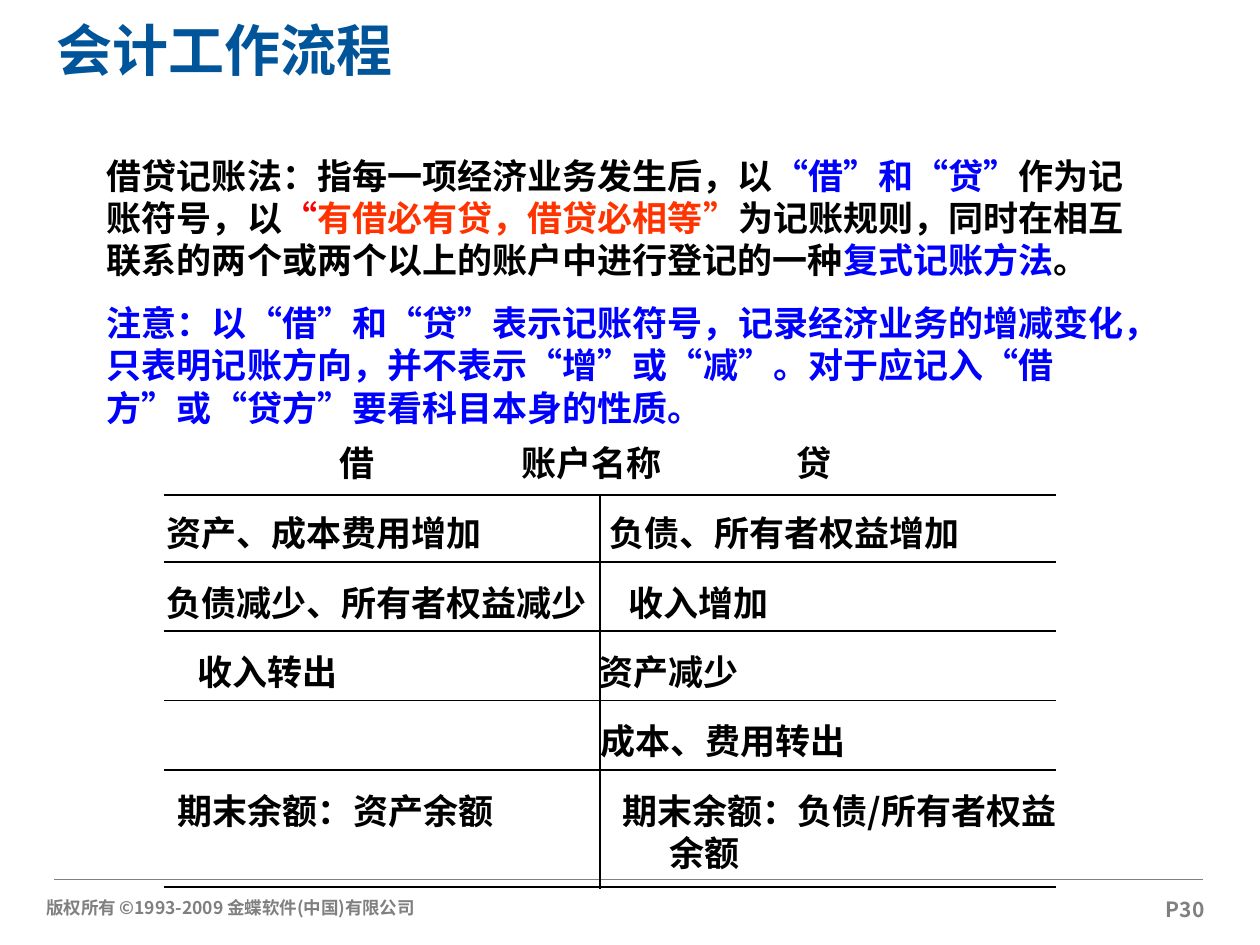
from itertools import groupby

from lxml import etree
from pptx import Presentation
from pptx.dml.color import RGBColor
from pptx.enum import shapes, text
from pptx.oxml import ns
from pptx.util import Pt

BLACK = RGBColor(0x00, 0x00, 0x00)
BLUE = RGBColor(0x00, 0x00, 0xFF)
RED = RGBColor(0xFF, 0x00, 0x00)
ORANGE = RGBColor(0xFF, 0x33, 0x00)
TITLE_BLUE = RGBColor(0x00, 0x54, 0x9A)
GRAY = RGBColor(0x80, 0x80, 0x80)
NOTO, ARIAL, TIMES = "Noto Sans CJK SC", "Arial", "Times New Roman"

deck = Presentation()
deck.slide_width, deck.slide_height = Pt(720), Pt(540)
page = deck.slides.add_slide(deck.slide_layouts[6])


def add_text(left, top, width, height, paragraphs, size=20, name=NOTO, color=BLACK):
    """Add a bold text box; each paragraph is a list of (text, colour) parts."""
    box = page.shapes.add_textbox(Pt(left), Pt(top), Pt(width), Pt(height))
    frame = box.text_frame
    frame.word_wrap = True
    for index, parts in enumerate(paragraphs):
        para = frame.paragraphs[0] if index == 0 else frame.add_paragraph()
        para.line_spacing = Pt(size * 1.2)
        para.font.size, para.font.bold, para.font.name = Pt(size), True, name
        para.font.color.rgb = color
        defaults = para._p.pPr.find(ns.qn("a:defRPr"))
        etree.SubElement(defaults, ns.qn("a:ea")).set("typeface", NOTO)
        for words, part_color in parts:
            # Curly quotes use the wide CJK forms
            for is_quote, letters in groupby(words, lambda letter: letter in "“”"):
                span = para.add_run()
                span.text = "".join(letters)
                if is_quote and name != NOTO:
                    span.font.name = NOTO
                if part_color != color:
                    span.font.color.rgb = part_color
    return frame


def add_line(x1, y1, x2, y2, color=BLACK, weight=1):
    line = page.shapes.add_connector(
        shapes.MSO_CONNECTOR.STRAIGHT, Pt(x1), Pt(y1), Pt(x2), Pt(y2))
    line.line.color.rgb, line.line.width = color, Pt(weight)
    etree.SubElement(line._element.spPr, ns.qn("a:effectLst"))


# Footer
copyright_frame = add_text(
    17.3, 509, 239, 32, [[("版权所有 ©1993-2009 金蝶软件(中国)有限公司", GRAY)]], 10, color=GRAY)
copyright_frame.paragraphs[0]._p.pPr.set("indent", str(Pt(2)))
add_line(31, 502.5, 687.5, 502.5, GRAY, 0.75)
page_number = add_text(654.5, 509, 45.5, 22, [[("P30", GRAY)]], 12, color=GRAY)
page_number.paragraphs[0].alignment = text.PP_ALIGN.CENTER

# Title
title = add_text(25, 4.5, 561, 47.5, [[("会计工作流程", TITLE_BLUE)]], 32, color=TITLE_BLUE)
title.vertical_anchor = text.MSO_ANCHOR.MIDDLE

# Definition and note
definition = [
    ("借贷记账法：指每一项经济业务发生后，以", BLACK),
    ("“借”和“贷”", BLUE),
    ("作为记账符号，以", BLACK),
    ("“", RED),
    ("有借必有贷，借贷必相等”", ORANGE),
    ("为记账规则，同时在相互联系的两个或两个以上的账户中进行登记的一种", BLACK),
    ("复式记账方法", BLUE),
    ("。", BLACK),
]
note = [("注意：以“借”和“贷”表示记账符号，记录经济业务的增减变化，只表明记账方向，"
         "并不表示“增”或“减”。对于应记入“借方”或“贷方”要看科目本身的性质。", BLUE)]
body = add_text(54, 84.5, 607, 164, [definition, note], name=TIMES)
body.paragraphs[1].space_before = Pt(12.5)

# T-account rules
for y in (283, 321, 360.7, 400.3, 440, 507):
    add_line(93.5, y, 603.5, y)
add_line(342.7, 283, 342.7, 508.3)

# T-account headings
for left, width, heading in ((187, 40, "借"), (291, 110, "账户名称"), (448, 40, "贷")):
    add_text(left, 248.5, width, 31.5, [[(heading, BLACK)]])

# T-account entries: (debit left, debit), (credit left, credit)
ROW_TOP, ROW_PITCH = 289, 39.6
rows = [
    ((88, "资产、成本费用增加"), (341, "负债、所有者权益增加")),
    ((88, "负债减少、所有者权益减少"), (352, "收入增加")),
    ((105.5, "收入转出"), (335, "资产减少")),
    (None, (336, "成本、费用转出")),
    ((94.5, "期末余额：资产余额"), (348.5, "期末余额：负债/所有者权益余额")),
]
for row, entries in enumerate(rows):
    font_name = NOTO if row == len(rows) - 1 else ARIAL
    for entry in filter(None, entries):
        left, words = entry
        frame = add_text(left, ROW_TOP + row * ROW_PITCH, 278, 31.5,
                         [[(words, BLACK)]], name=font_name)

# The closing credit balance wraps with a hanging indent
closing = frame.paragraphs[0]._p.pPr
closing.set("marL", str(Pt(27)))
closing.set("indent", str(Pt(-27)))

deck.save("out.pptx")
